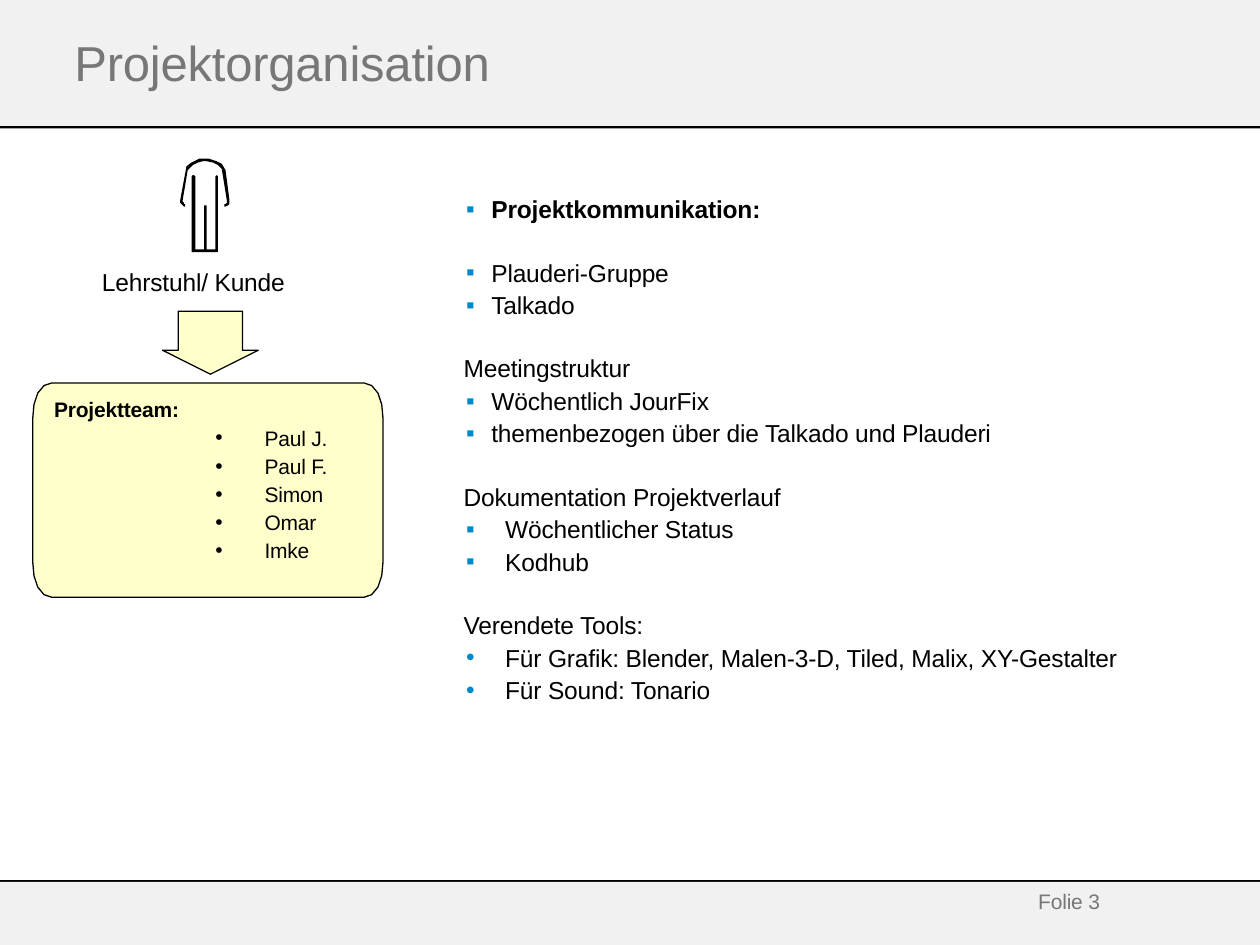
from pptx import Presentation
from pptx.dml.color import RGBColor
from pptx.enum.shapes import MSO_CONNECTOR as Conn, MSO_SHAPE as Form
from pptx.oxml.ns import qn
from pptx.util import Inches, Pt
from lxml.etree import SubElement as Sub

BLACK = RGBColor(0x00, 0x00, 0x00)
GREY = RGBColor(0x77, 0x77, 0x77)
PALE = RGBColor(0xF1, 0xF1, 0xF1)
CREAM = RGBColor(0xFF, 0xFF, 0xCC)
BLUE = RGBColor(0x00, 0x88, 0xCE)

LEGS = [(1.72, 1.39), (1.71, 1.4), (1.71, 1.98), (1.64, 1.98), (1.64, 1.63),
        (1.62, 1.63), (1.62, 1.98), (1.55, 1.98), (1.55, 1.4), (1.54, 1.39),
        (1.53, 1.39), (1.52, 1.4), (1.52, 2), (1.73, 2), (1.73, 1.4)]
ARMS = [(1.63, 1.26), (1.58, 1.26), (1.52, 1.29), (1.48, 1.32), (1.43, 1.59),
        (1.43, 1.61), (1.44, 1.62), (1.45, 1.63), (1.46, 1.64), (1.47, 1.64),
        (1.47, 1.62), (1.46, 1.62), (1.46, 1.61), (1.45, 1.6), (1.45, 1.59),
        (1.49, 1.35), (1.53, 1.31), (1.57, 1.29), (1.61, 1.28), (1.64, 1.28),
        (1.69, 1.29), (1.73, 1.31), (1.76, 1.34), (1.8, 1.59), (1.8, 1.61),
        (1.79, 1.62), (1.78, 1.62), (1.78, 1.64), (1.79, 1.64), (1.81, 1.63),
        (1.82, 1.62), (1.82, 1.58), (1.79, 1.35), (1.76, 1.3), (1.72, 1.28),
        (1.66, 1.26)]
CURVE = [(0, 0.28), (0.01, 0.17), (0.04, 0.08), (0.09, 0.02), (0.15, 0)]

TEAM = ["Paul J.", "Paul F.", "Simon", "Omar", "Imke"]
TOPICS = [
    ("▪", 0.22, ["Projektkommunikation:"]),
    ("▪", 0.22, ["Plauderi-Gruppe", "Talkado"]),
    ("▪", 0.22, ["Meetingstruktur", "Wöchentlich JourFix",
                 "themenbezogen über die Talkado und Plauderi"]),
    ("▪", 0.33, ["Dokumentation Projektverlauf", "Wöchentlicher Status", "Kodhub"]),
    ("•", 0.33, ["Verendete Tools:",
                 "Für Grafik: Blender, Malen-3-D, Tiled, Malix, XY-Gestalter",
                 "Für Sound: Tonario"]),
]


def bend(left, top, wide, high):
    right, low = left + wide, top + high
    return ([(left + x, top + y) for x, y in CURVE]
            + [(right - x, top + y) for x, y in reversed(CURVE)]
            + [(right - x, low - y) for x, y in CURVE]
            + [(left + x, low - y) for x, y in reversed(CURVE)])


class Deck:
    face = "Arial"

    def __init__(self):
        self.show = Presentation()
        self.show.slide_width = Inches(10)
        self.show.slide_height = Inches(7.5)
        self.slide = self.show.slides.add_slide(self.show.slide_layouts[6])

    def paint(self, shape, fill, edge=None):
        shape.shadow.inherit = False
        shape.fill.solid()
        shape.fill.fore_color.rgb = fill
        if edge is None:
            shape.line.fill.background()
        else:
            shape.line.color.rgb = edge
            shape.line.width = Pt(0.75)
        return shape

    def block(self, form, box, fill, edge=None):
        shape = self.slide.shapes.add_shape(form, *map(Inches, box))
        return self.paint(shape, fill, edge)

    def draw(self, points, fill, edge=None):
        spots = [(Inches(x), Inches(y)) for x, y in points]
        outline = self.slide.shapes.build_freeform(*spots[0], scale=1.0)
        outline.add_line_segments(spots[1:], close=True)
        return self.paint(outline.convert_to_shape(), fill, edge)

    def rule(self, y):
        line = self.slide.shapes.add_connector(
            Conn.STRAIGHT, 0, Inches(y), Inches(10), Inches(y))
        line.line.color.rgb = BLACK
        line.line.width = Pt(2)
        Sub(line._element.spPr, qn("a:effectLst"))

    def frame(self, box):
        frame = self.slide.shapes.add_textbox(*map(Inches, box)).text_frame
        frame.word_wrap = True
        frame.margin_left = frame.margin_right = frame.margin_bottom = 0
        frame.margin_top = Inches(0.01)
        return frame

    def style(self, para, text, size, color=BLACK, bold=False, space=0):
        para.text = text
        if space:
            para.space_before = Pt(space)
        for run in para.runs:
            font = run.font
            font.name, font.size, font.bold = self.face, Pt(size), bold
            font.color.rgb = color
            run._r.get_or_add_rPr().set("spc", "-10")

    def label(self, box, text, size, color=BLACK):
        frame = self.frame(box)
        self.style(frame.paragraphs[0], text, size, color)

    def bullet(self, para, mark, left, hang, color):
        props = para._p.get_or_add_pPr()
        props.set("marL", str(Inches(left)))
        props.set("indent", str(-Inches(hang)))
        tint = Sub(Sub(props, qn("a:buClr")), qn("a:srgbClr"))
        tint.set("val", str(color))
        Sub(props, qn("a:buFont")).set("typeface", self.face)
        Sub(props, qn("a:buChar")).set("char", mark)

    def team(self, box, head, names):
        frame = self.frame(box)
        self.style(frame.paragraphs[0], head, 12, bold=True)
        for name in names:
            para = frame.add_paragraph()
            self.bullet(para, "•", 1.67, 0.39, BLACK)
            self.style(para, name, 12, space=1.7)

    def topics(self, box, groups):
        frame = self.frame(box)
        for nth, (mark, left, lines) in enumerate(groups):
            for row, text in enumerate(lines):
                first = nth == 0 and row == 0
                para = frame.paragraphs[0] if first else frame.add_paragraph()
                if nth < 2 or row:
                    self.bullet(para, mark, left, left - 0.02, BLUE)
                space = 0 if first else 1.7 if row else 19.5
                self.style(para, text, 14, bold=first, space=space)


def main():
    deck = Deck()
    deck.block(Form.RECTANGLE, (0, 0.99, 10, 0.03), BLACK)
    deck.rule(7)
    deck.block(Form.RECTANGLE, (0, 0, 10, 1), PALE)
    deck.label((0.59, 0.25, 8.98, 0.49), "Projektorganisation", 28, GREY)
    deck.block(Form.RECTANGLE, (0, 7, 10, 0.5), PALE)
    deck.draw(bend(0.26, 3.04, 2.78, 1.7), CREAM, BLACK)
    for part in (LEGS, ARMS):
        deck.draw(part, BLACK)
    deck.label((0.81, 2.11, 1.6, 0.25), "Lehrstuhl/ Kunde", 14)
    arrow = deck.block(Form.DOWN_ARROW, (1.29, 2.47, 0.76, 0.5), CREAM, BLACK)
    arrow.adjustments[0] = 0.67
    arrow.adjustments[1] = 0.38
    deck.label((8.24, 7.04, 0.7, 0.2), "Folie 3", 12, GREY)
    deck.team((0.43, 3.14, 2.6, 1.3), "Projektteam:", TEAM)
    deck.topics((3.68, 1.53, 6.2, 4.2), TOPICS)
    deck.show.save("out.pptx")


if __name__ == "__main__":
    main()
